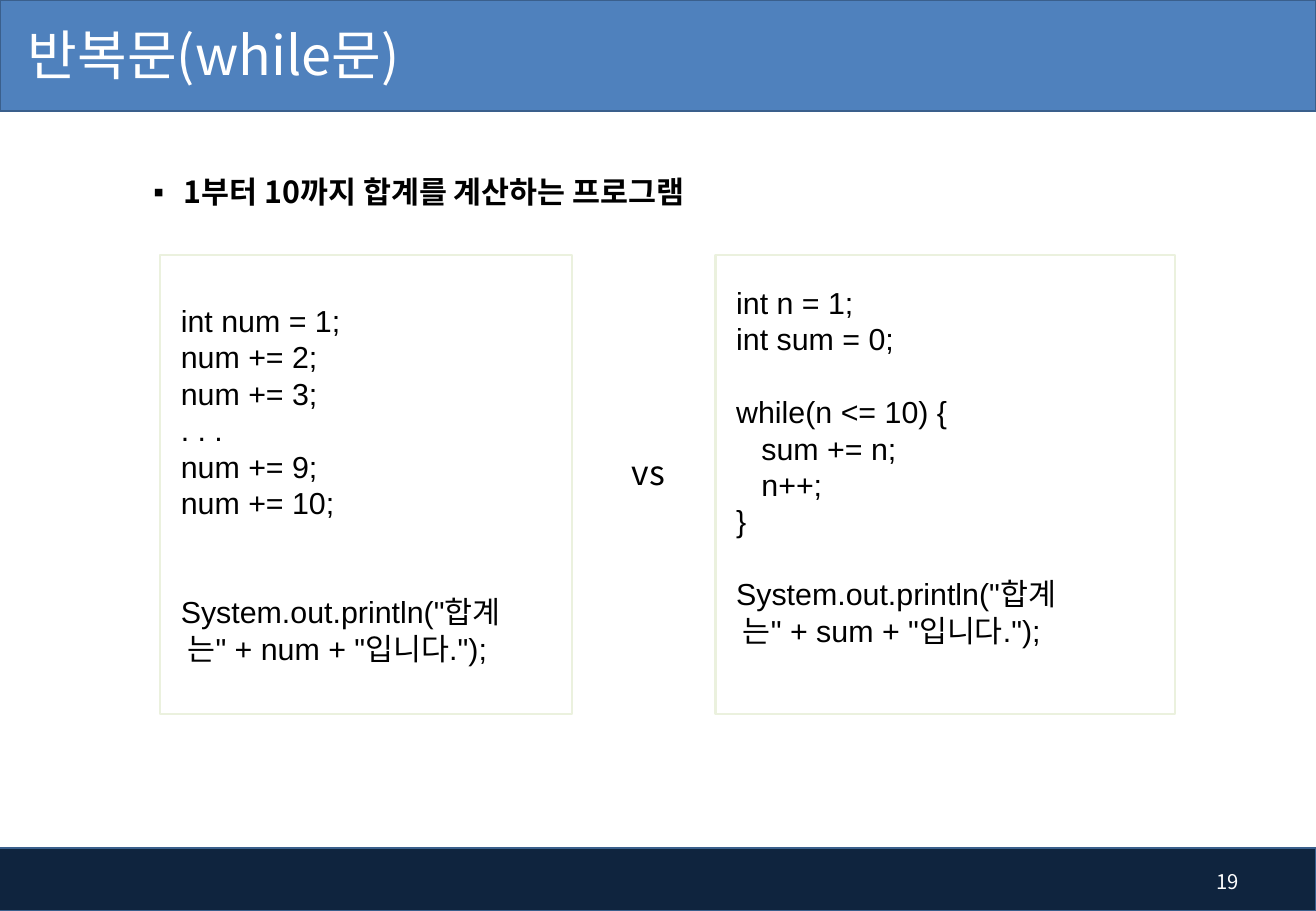
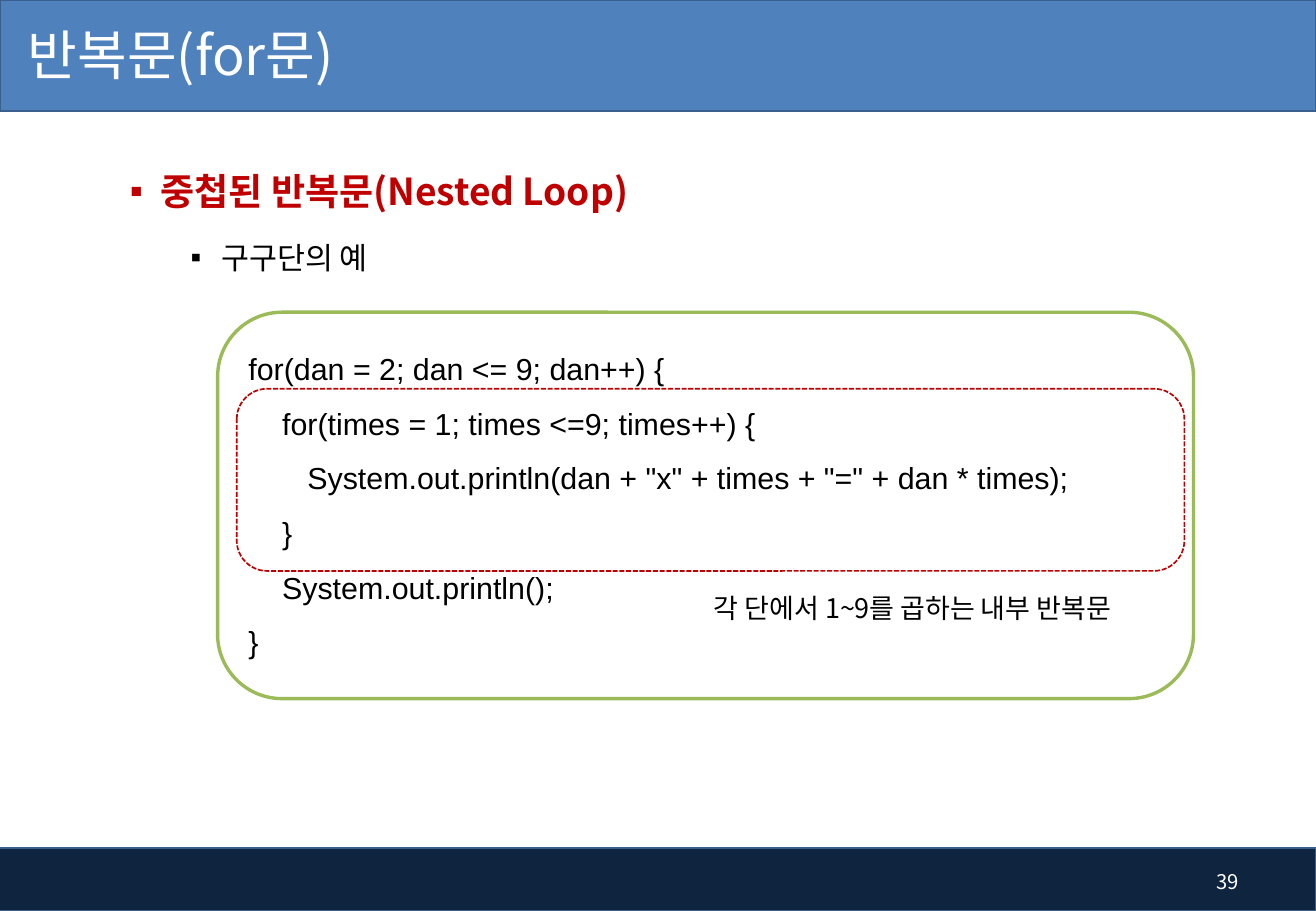
from dataclasses import dataclass
from typing import NamedTuple

from lxml.etree import SubElement
from pptx import Presentation
from pptx.dml.color import RGBColor
from pptx.enum.dml import MSO_LINE
from pptx.enum.shapes import MSO_SHAPE
from pptx.enum.text import MSO_ANCHOR, MSO_AUTO_SIZE, PP_ALIGN
from pptx.oxml.ns import qn
from pptx.util import Cm, Pt


@dataclass(frozen=True)
class Theme:
    header: str = "4F81BD"
    footer: str = "0F243E"
    edge: str = "3A5F8C"
    pale: str = "EBF1DE"
    green: str = "9BBB59"
    red: str = "C00000"
    white: str = "FFFFFF"
    black: str = "000000"
    font: str = "Noto Sans CJK KR"
    code_font: str = "Arial"
    title: int = 32
    topic: int = 22
    versus: int = 20
    text: int = 18
    label: int = 16
    number: int = 12
    code_pitch: float = 21.6


T = Theme()


class Box(NamedTuple):
    x: float
    y: float
    w: float
    h: float

    def sub(self, x, y, w, h):
        return Box(self.x + x, self.y + y, w, h)

    def emu(self):
        return [Cm(round(v, 2)) for v in self]


PAGE = Box(0, 0, 27.51, 19.05)
HEADER = Box(0, 0, PAGE.w, 2.32)
FOOTER = Box(-0.1, 17.73, PAGE.w + 0.1, 1.32)


def style(p, size, color=T.black, font=T.font, bold=False):
    for r in p.runs:
        r.font.size, r.font.bold, r.font.name = Pt(size), bold, font
        r.font.color.rgb = RGBColor.from_string(color)
        SubElement(r._r.get_or_add_rPr(), qn("a:ea")).set("typeface", T.font)


def place(ph, box):
    ph.left, ph.top, ph.width, ph.height = box.emu()


def add_panel(s, box, line, width, fill=None, kind=MSO_SHAPE.RECTANGLE):
    sp = s.shapes.add_shape(kind, *box.emu())
    sp.shadow.inherit = False
    if fill:
        sp.fill.solid()
        sp.fill.fore_color.rgb = RGBColor.from_string(fill)
    else:
        sp.fill.background()
    sp.line.color.rgb = RGBColor.from_string(line)
    sp.line.width = Pt(width)
    return sp


def add_label(s, box, text, size, color=T.black, align=PP_ALIGN.CENTER):
    tf = s.shapes.add_textbox(*box.emu()).text_frame
    tf.word_wrap = True
    tf.vertical_anchor = MSO_ANCHOR.MIDDLE
    tf.text = text
    tf.paragraphs[0].alignment = align
    style(tf.paragraphs[0], size, color)


def write_code(sp, code, spacing=1.0, left=0.43, bottom=0.13):
    tf = sp.text_frame
    tf.word_wrap = True
    tf.vertical_anchor = MSO_ANCHOR.MIDDLE
    tf.margin_left, tf.margin_bottom = Cm(left), Cm(bottom)
    pitch = T.code_pitch * spacing
    p, gap = tf.paragraphs[0], 0
    for i, line in enumerate(code.splitlines()):
        if not line:
            gap += 1
            continue
        if i:
            p = tf.add_paragraph()
        p.text = line
        p.alignment = PP_ALIGN.LEFT
        p.line_spacing, p.space_before = Pt(pitch), Pt(gap * pitch)
        style(p, T.text, font=T.code_font)
        gap = 0


def add_bands(layout, s):
    for box, fill in ((HEADER, T.header), (FOOTER, T.footer)):
        band = add_panel(s, box, T.edge, 1, fill)
        layout.shapes._spTree.insert(2, band._element)


def fill_title(s, title, number):
    ph = s.shapes.title
    place(ph, HEADER.sub(0, -0.05, 17.22, 2.36))
    tf = ph.text_frame
    tf.text = title
    tf.auto_size = MSO_AUTO_SIZE.NONE
    tf.vertical_anchor = MSO_ANCHOR.MIDDLE
    tf.margin_left = Cm(0.58)
    tf.paragraphs[0].alignment = PP_ALIGN.LEFT
    style(tf.paragraphs[0], T.title, T.white)
    add_label(s, FOOTER.sub(24.69, 0.2, 1.55, 1.02), number, T.number,
              T.white, PP_ALIGN.RIGHT)


def fill_list(s, box, items, spacing):
    ph = s.placeholders[1]
    place(ph, box)
    tf = ph.text_frame
    tf.auto_size = MSO_AUTO_SIZE.NONE
    for i, (text, size, color, bold) in enumerate(items):
        p = tf.add_paragraph() if i else tf.paragraphs[0]
        p.text = text
        p.level = i
        pPr = p._p.get_or_add_pPr()
        pPr.set("marL", str(Cm(0.64 + 1.27 * i)))
        pPr.set("indent", str(-Cm(0.64)))
        SubElement(pPr, qn("a:buChar")).set("char", "▪")
        p.line_spacing, p.space_before = spacing, Pt(5 * i)
        style(p, size, color, bold=bold)


def add_comparison(s, box, left_code, right_code):
    left = add_panel(s, box.sub(0, 0, 8.61, box.h), T.pale, 1.5, T.white)
    write_code(left, left_code)
    right = add_panel(s, box.sub(box.w - 9.6, 0, 9.6, box.h), T.pale, 1.5, T.white)
    write_code(right, right_code, bottom=0.89)
    add_label(s, box.sub(9.4, 3.99, 1.6, 1.12), "vs", T.versus)


def add_nested_loop(s, box, code, note):
    rounded = MSO_SHAPE.ROUNDED_RECTANGLE
    outer = add_panel(s, box, T.green, 2, T.white, rounded)
    write_code(outer, code, 1.5, left=0.25, bottom=0.52)
    inner = add_panel(s, box.sub(0.4, 1.6, 19.81, 3.81), T.red, 1, kind=rounded)
    inner.line.dash_style = MSO_LINE.SQUARE_DOT
    add_label(s, box.sub(9.42, 5.59, 10.21, 1.19), note, T.label)


SUM_BY_HAND = """int num = 1;
num += 2;
num += 3;
. . .
num += 9;
num += 10;


System.out.println("합계
 는" + num + "입니다.");"""

SUM_BY_WHILE = """int n = 1;
int sum = 0;

while(n <= 10) {
   sum += n;
   n++;
}

System.out.println("합계
 는" + sum + "입니다.");"""

TIMES_TABLE = """for(dan = 2; dan <= 9; dan++) {
    for(times = 1; times <=9; times++) {
       System.out.println(dan + "x" + times + "=" + dan * times);
    }
    System.out.println();
}"""


def while_slide(s):
    fill_title(s, "반복문(while문)", "19")
    fill_list(s, Box(2.95, 3.58, 12.8, 1.14),
              [("1부터 10까지 합계를 계산하는 프로그램", T.text, T.black, True)], 0.9)
    add_comparison(s, Box(3.35, 5.33, 21.21, 9.6), SUM_BY_HAND, SUM_BY_WHILE)


def for_slide(s):
    fill_title(s, "반복문(for문)", "39")
    fill_list(s, Box(2.46, 2.92, 15.29, 2.9),
              [("중첩된 반복문(Nested Loop)", T.topic, T.red, True),
               ("구구단의 예", T.text, T.black, False)], 1.5)
    add_nested_loop(s, Box(4.55, 6.53, 20.4, 8.08), TIMES_TABLE,
                    "각 단에서 1~9를 곱하는 내부 반복문")


def main():
    prs = Presentation()
    prs.slide_width, prs.slide_height = PAGE.emu()[2:]
    layout = prs.slide_layouts[1]
    slides = [prs.slides.add_slide(layout) for _ in range(2)]
    add_bands(layout, slides[0])
    for build, s in zip((while_slide, for_slide), slides):
        build(s)
    prs.save("out.pptx")


if __name__ == "__main__":
    main()
